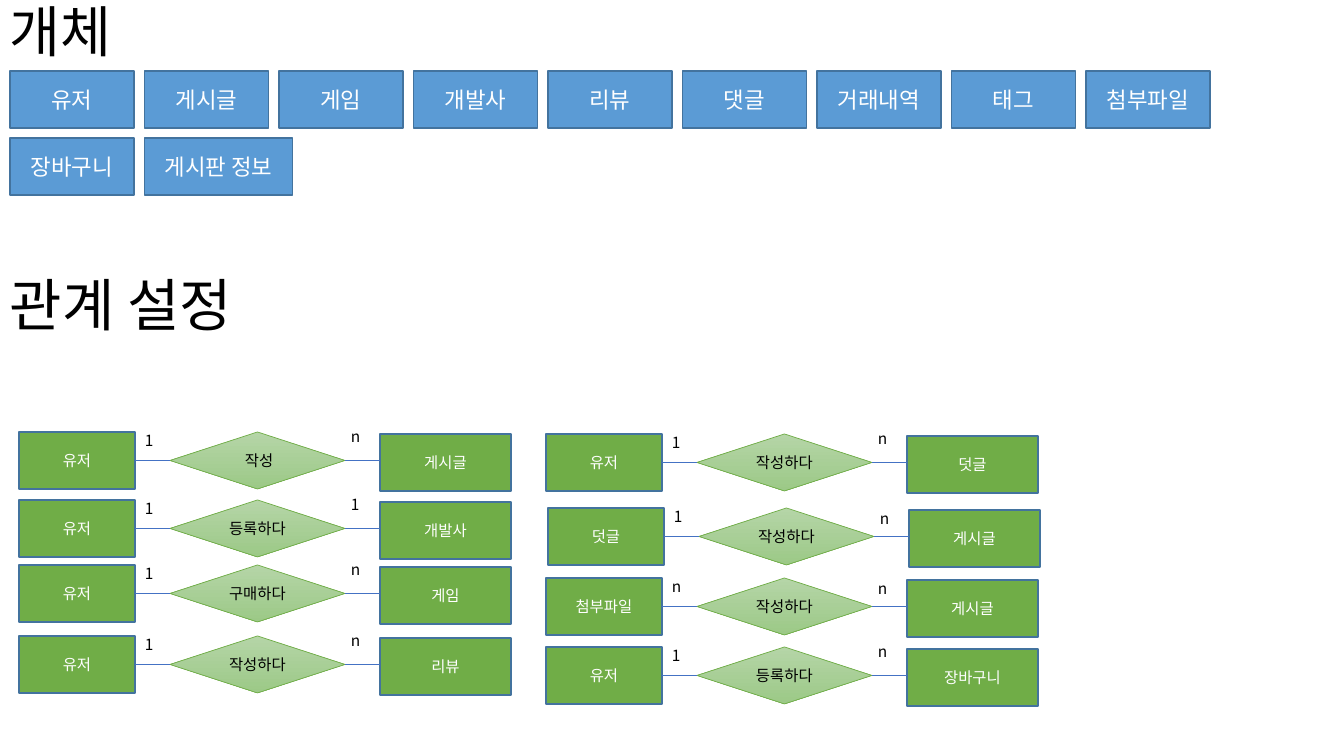
from dataclasses import dataclass

from lxml.etree import SubElement
from pptx import Presentation
from pptx.dml.color import RGBColor
from pptx.enum.shapes import MSO_CONNECTOR as Connector, MSO_SHAPE as Preset
from pptx.enum.text import MSO_ANCHOR as Anchor, MSO_AUTO_SIZE as AutoSize, PP_ALIGN as Align
from pptx.oxml.ns import qn
from pptx.shapes.autoshape import Shape
from pptx.slide import Slide
from pptx.util import Emu, Pt

SCALE = 914400 / 100.8
FONT = "Noto Sans CJK KR"
BLACK, WHITE = "000000", "FFFFFF"
BLUE, NAVY, LINK = "5B9BD5", "43739E", "4472C4"
GREEN, PALE, DEEP = "70AD47", "B5D5A7", "9CC987"
BOX_HEIGHT = 57
ENTITY_LEFT, ENTITY_TOP = 10, 71
ENTITY_STEP, ROW_STEP = 134.5, 67


@dataclass
class Entity:
    """A blue box in the entity grid."""
    text: str
    column: int
    row: int = 0
    width: int = 124


@dataclass
class Relation:
    """Two entities joined by a diamond, with a cardinality at each end."""
    left: int
    top: int
    source: str
    source_count: str
    verb: str
    target_count: str
    target: str
    target_rise: int = 10


ENTITIES = [
    *(Entity(text, column) for column, text in enumerate(
        ["유저", "게시글", "게임", "개발사", "리뷰", "댓글", "거래내역", "태그", "첨부파일"])),
    Entity("장바구니", 0, 1),
    Entity("게시판 정보", 1, 1, 148),
]
RELATIONS = [
    Relation(19, 432, "유저", "1", " 작성", "n", "게시글"),
    Relation(19, 500, "유저", "1", "등록하다", "1", "개발사"),
    Relation(19, 565, "유저", "1", "구매하다", "n", "게임"),
    Relation(19, 636, "유저", "1", "작성하다", "n", "리뷰"),
    Relation(546, 434, "유저", "1", "작성하다", "n", "덧글"),
    Relation(548, 508, "덧글", "1", "작성하다", "n", "게시글", 4),
    Relation(546, 578, "첨부파일", "n", "작성하다", "n", "게시글", 4),
    Relation(546, 647, "유저", "1", "등록하다", "n", "장바구니"),
]


def px(length: float) -> Emu:
    """Turn pixels into EMU."""
    return Emu(round(length * SCALE))


def color(code: str) -> RGBColor:
    """Turn a hex string into a colour."""
    return RGBColor.from_string(code)


def write(shape: Shape, text: str, *, size: float, ink: str = BLACK,
          align: Align = Align.LEFT, anchor: Anchor = Anchor.MIDDLE,
          spacing: float = 1.0) -> None:
    """Put one formatted paragraph into a shape."""
    frame = shape.text_frame
    frame.word_wrap = True
    frame.vertical_anchor = anchor
    para = frame.paragraphs[0]
    para.alignment, para.line_spacing = align, spacing
    span = para.add_run()
    span.text = text
    span.font.name, span.font.size = FONT, Pt(size)
    span.font.color.rgb = color(ink)
    SubElement(span.font._element, qn("a:ea"), typeface=FONT)


def add_heading(page: Slide, text: str, top: int, size: float, spacing: float) -> None:
    """Add a heading across the page."""
    box = page.shapes.add_textbox(0, px(top), px(1344), px(69))
    write(box, text, size=size, spacing=spacing)


def add_box(page: Slide, text: str, left: float, top: int, width: int, *,
            fill: str, size: float) -> None:
    """Add a filled rectangle with centred white text."""
    box = page.shapes.add_shape(Preset.RECTANGLE, px(left), px(top), px(width), px(BOX_HEIGHT))
    box.shadow.inherit = False
    box.fill.solid()
    box.fill.fore_color.rgb = color(fill)
    box.line.color.rgb, box.line.width = color(NAVY), Pt(1)
    write(box, text, size=size, ink=WHITE, align=Align.CENTER)


def add_diamond(page: Slide, text: str, left: int, top: int) -> None:
    """Add a relation diamond with a vertical gradient."""
    diamond = page.shapes.add_shape(Preset.DIAMOND, px(left), px(top), px(175), px(BOX_HEIGHT))
    diamond.shadow.inherit = False
    diamond.fill.gradient()
    diamond.fill.gradient_angle = 270
    for stop, code in zip(diamond.fill.gradient_stops, (PALE, DEEP)):
        stop.color.rgb = color(code)
    diamond.line.color.rgb, diamond.line.width = color(GREEN), Pt(0.5)
    write(diamond, text, size=11, align=Align.CENTER)


def add_link(page: Slide, left: int, top: int) -> None:
    """Add a short line between a box and a diamond."""
    link = page.shapes.add_connector(
        Connector.STRAIGHT, px(left), px(top), px(left + 35), px(top))
    link.line.color.rgb, link.line.width = color(LINK), Pt(0.5)
    SubElement(link._element.spPr, qn("a:effectLst"))


def add_count(page: Slide, text: str, left: int, top: int) -> None:
    """Add a cardinality label."""
    box = page.shapes.add_textbox(px(left), px(top), px(35), px(29))
    write(box, text, size=11, anchor=Anchor.TOP)
    box.text_frame.auto_size = AutoSize.SHAPE_TO_FIT_TEXT


def add_entity(page: Slide, entity: Entity) -> None:
    """Place an entity on its grid cell."""
    add_box(page, entity.text, ENTITY_LEFT + entity.column * ENTITY_STEP,
            ENTITY_TOP + entity.row * ROW_STEP, entity.width, fill=BLUE, size=16)


def add_relation(page: Slide, relation: Relation) -> None:
    """Draw one relation from its source to its target."""
    left, top = relation.left, relation.top
    add_diamond(page, relation.verb, left + 151, top)
    add_box(page, relation.target, left + 361, top + 2, 131, fill=GREEN, size=11)
    add_box(page, relation.source, left, top, 116, fill=GREEN, size=11)
    for offset in (116, 326):
        add_link(page, left + offset, top + 28)
    add_count(page, relation.source_count, left + 116, top - 6)
    add_count(page, relation.target_count, left + 322, top - relation.target_rise)


def main() -> None:
    """Build and save the deck."""
    deck = Presentation()
    deck.slide_width, deck.slide_height = px(1344), px(756)
    page = deck.slides.add_slide(deck.slide_layouts[6])
    add_heading(page, "개체", 0, 39.6, 0.9)
    add_heading(page, "관계 설정", 276, 40.7, 0.8)
    for entity in ENTITIES:
        add_entity(page, entity)
    for relation in RELATIONS:
        add_relation(page, relation)
    deck.save("out.pptx")


main()
